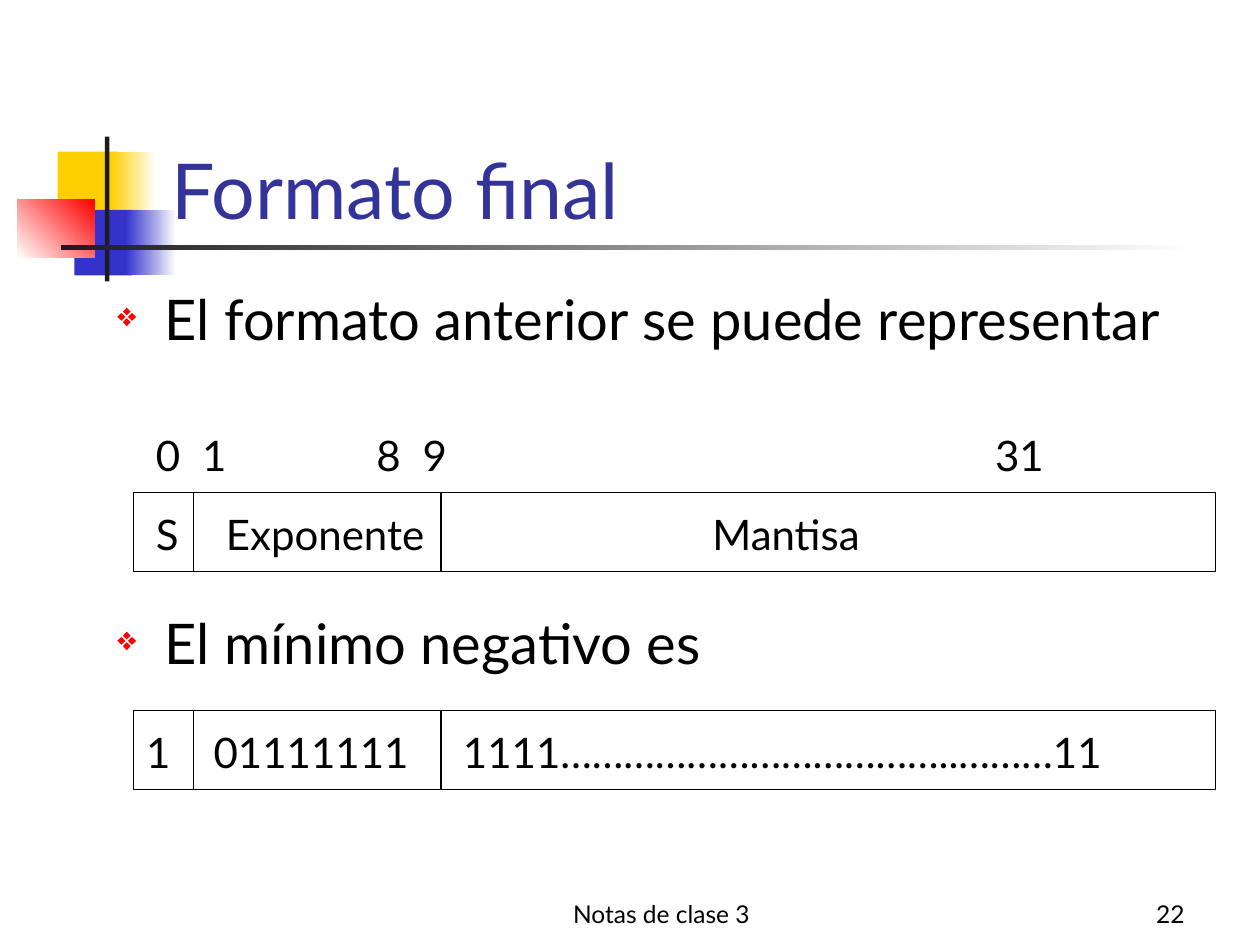
from lxml.etree import SubElement
from pptx import Presentation
from pptx.dml.color import RGBColor
from pptx.enum.shapes import MSO_CONNECTOR, MSO_SHAPE
from pptx.enum.text import MSO_ANCHOR, PP_ALIGN
from pptx.oxml.ns import qn
from pptx.util import Pt

FONT = "Lato"
BLACK = RGBColor(0x00, 0x00, 0x00)
WHITE = RGBColor(0xFF, 0xFF, 0xFF)
INK = RGBColor(0x1C, 0x1C, 0x1C)
YELLOW = RGBColor(0xFF, 0xCF, 0x01)
BLUE = RGBColor(0x33, 0x33, 0xCC)
RED = RGBColor(0xFF, 0x00, 0x00)
TITLE = RGBColor(0x33, 0x33, 0x99)


def add_tabs(p, stops):
    tabs = SubElement(p._p.get_or_add_pPr(), qn("a:tabLst"))
    for stop in stops:
        SubElement(tabs, qn("a:tab"), pos=str(Pt(stop)), algn="l")


def add_bullet(p, indent=27):
    pPr = p._p.get_or_add_pPr()
    pPr.set("marL", str(Pt(indent)))
    pPr.set("indent", str(-Pt(indent)))
    color = SubElement(pPr, qn("a:buClr"))
    SubElement(color, qn("a:srgbClr"), val=str(RED))
    SubElement(pPr, qn("a:buSzPct"), val="60000")
    SubElement(pPr, qn("a:buChar"), char="❖")


def add_text(s, text, x, y, w, h, size=24, color=BLACK, align=PP_ALIGN.LEFT,
             anchor=MSO_ANCHOR.TOP, bullet=False, gap=0, tabs=()):
    tf = s.shapes.add_textbox(Pt(x), Pt(y), Pt(w), Pt(h)).text_frame
    tf.word_wrap = True
    tf.vertical_anchor = anchor
    for i, line in enumerate(text.split("\n")):
        p = tf.add_paragraph() if i else tf.paragraphs[0]
        if bullet:
            add_bullet(p)
        if tabs:
            add_tabs(p, tabs)
        p.alignment = align
        if i:
            p.space_before = Pt(gap)
        r = p.add_run()
        r.text = line
        r.font.name = FONT
        r.font.size = Pt(size)
        r.font.color.rgb = color


def add_rect(s, x, y, w, h, start, end=None, angle=0, line=None):
    sp = s.shapes.add_shape(MSO_SHAPE.RECTANGLE, Pt(x), Pt(y), Pt(w), Pt(h))
    sp.shadow.inherit = False
    if end is None:
        sp.fill.solid()
        sp.fill.fore_color.rgb = start
    else:
        sp.fill.gradient()
        sp.fill.gradient_angle = angle
        for stop, color in zip(sp.fill.gradient_stops, (start, end)):
            stop.color.rgb = color
    if line is None:
        sp.line.fill.background()
    else:
        sp.line.color.rgb = line
        sp.line.width = Pt(0.75)


def add_divider(s, x, y, h):
    line = s.shapes.add_connector(MSO_CONNECTOR.STRAIGHT, Pt(x), Pt(y), Pt(x), Pt(y + h))
    line.line.color.rgb = BLACK
    line.line.width = Pt(0.75)
    SubElement(line._element.spPr, qn("a:effectLst"))


def add_ornament(s, x, y):
    add_rect(s, x + 23, y + 8.6, 34.5, 37.4, YELLOW)
    add_rect(s, x + 53.4, y + 8.6, 26, 37.4, YELLOW, WHITE)
    add_rect(s, x + 32.5, y + 42, 33, 37.4, BLUE)
    add_rect(s, x + 62, y + 42, 28.8, 37.4, BLUE, WHITE)
    add_rect(s, x, y + 36, 44, 33.3, WHITE, RED, angle=45)
    add_rect(s, x + 50, y, 2.5, 82.8, INK)
    add_rect(s, x + 25, y + 62.3, 648, 2.5, INK, WHITE)


def add_register(s, x, y, w, h):
    add_rect(s, x, y, w, h, WHITE, line=BLACK)
    for offset in (34, 175.5):
        add_divider(s, x + offset, y, h)


def add_format_row(s, x, y, w, h):
    add_text(s, "0\t1\t8\t9\t31", x + 5.5, y - 39.5, w, 36, tabs=(26.5, 126, 152.5, 479.5))
    add_register(s, x, y, w, h)
    for name, offset, width in (("S", 5.5, 45), ("Exponente", 45.5, 142), ("Mantisa", 323.5, 148)):
        add_text(s, name, x + offset, y + 5.5, width, 36)


def add_minimum_row(s, x, y, w, h):
    add_register(s, x, y, w, h)
    add_text(s, "1\t01111111\t1111………………………………..………11", x, y + 5.5, w, 36,
             tabs=(38.5, 181))


def add_footer(s, y, h):
    add_text(s, "Notas de clase 3", 264, y, 228, h, size=14,
             align=PP_ALIGN.CENTER, anchor=MSO_ANCHOR.BOTTOM)
    add_text(s, "22", 534, y, 150, h, size=14,
             align=PP_ALIGN.RIGHT, anchor=MSO_ANCHOR.BOTTOM)


def main():
    prs = Presentation()
    prs.slide_width, prs.slide_height = Pt(720), Pt(540)
    s = prs.slides.add_slide(prs.slide_layouts[6])
    add_ornament(s, 10, 78)
    add_footer(s, 498, 36)
    add_text(s, "Formato final", 91, 48, 613, 90, size=44, color=TITLE,
             anchor=MSO_ANCHOR.BOTTOM)
    add_text(s, "El formato anterior se puede representar\nEl mínimo negativo es",
             60, 159, 645, 324, size=32, bullet=True, gap=147)
    add_format_row(s, 76.5, 281.5, 618, 45)
    add_minimum_row(s, 76.5, 406, 618, 45)
    prs.save("out.pptx")


if __name__ == "__main__":
    main()
